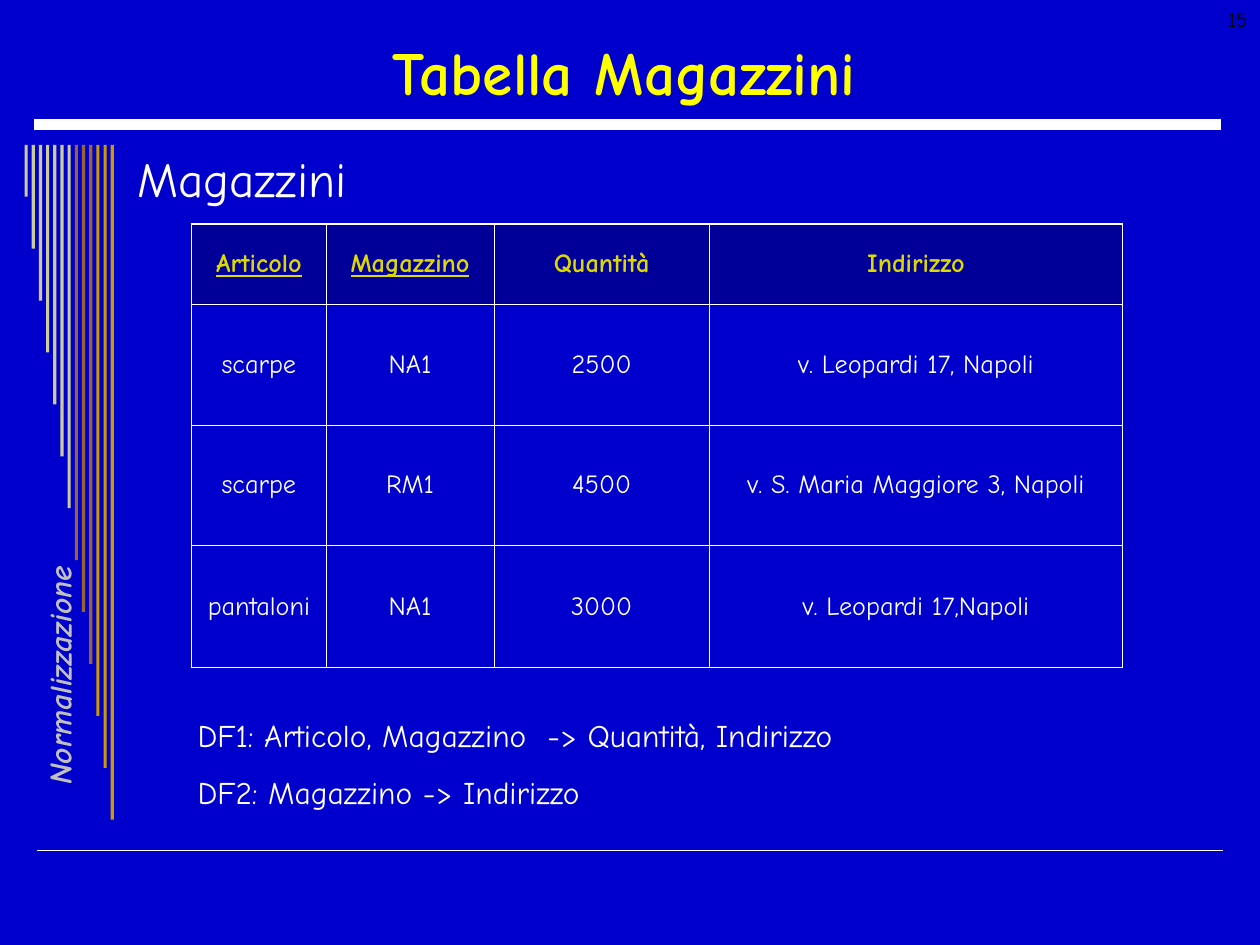
from dataclasses import dataclass

from lxml.etree import SubElement
from pptx import Presentation
from pptx.dml.color import RGBColor
from pptx.enum.shapes import MSO_CONNECTOR, MSO_SHAPE
from pptx.enum.text import MSO_ANCHOR as Anchor, MSO_AUTO_SIZE as AutoSize, PP_ALIGN as Align
from pptx.oxml.ns import qn
from pptx.util import Inches, Pt


@dataclass(frozen=True)
class Theme:
    """Colours, type sizes and line widths of the slide."""

    font: str = "Comic Neue"
    background: str = "0000CC"
    header_fill: str = "000099"
    title: str = "FFFF00"
    header_text: str = "DDD800"
    text: str = "FFFFFF"
    side_text: str = "C0C0C0"
    number: str = "000000"
    bar_colors: tuple = ("CCCC99",) * 7 + ("996633",) * 3 + ("CC9900",) * 3
    title_size: float = 35
    body_size: float = 28
    note_size: float = 18
    cell_size: float = 15
    number_size: float = 12
    outer_border: float = 1.08
    inner_border: float = 0.45


class SlideBuilder:
    """Draws themed elements on a grid of 100 columns by 75 rows."""

    def __init__(self, presentation, theme):
        self.theme = theme
        self.column = presentation.slide_width / 100
        self.row = presentation.slide_height / 75
        self.slide = presentation.slides.add_slide(presentation.slide_layouts[1])
        fill = self.slide.background.fill
        fill.solid()
        fill.fore_color.rgb = RGBColor.from_string(theme.background)

    def box(self, left, top, width, height):
        return (round(left * self.column), round(top * self.row),
                round(width * self.column), round(height * self.row))

    def format(self, paragraph, size, color, align=Align.LEFT, bold=False, italic=False, underline=False):
        paragraph.alignment = align
        for run in paragraph.runs:
            font = run.font
            font.name, font.size = self.theme.font, Pt(size)
            font.bold, font.italic, font.underline = bold, italic, underline
            font.color.rgb = RGBColor.from_string(color)

    def placeholder(self, index, text, place, size, color, indent=0, anchor=Anchor.TOP, **style):
        shape = self.slide.placeholders[index]
        shape.left, shape.top, shape.width, shape.height = self.box(*place)
        frame = shape.text_frame
        frame.text = text
        frame.auto_size, frame.vertical_anchor = AutoSize.NONE, anchor
        paragraph = frame.paragraphs[0]
        properties = paragraph._p.get_or_add_pPr()
        properties.set("marL", str(round(indent * self.column)))
        properties.set("indent", "0")
        SubElement(properties, qn("a:buNone"))
        paragraph.space_before = Pt(0)
        self.format(paragraph, size, color, **style)

    def text(self, text, place, size, color, wrap=True, rotation=0, gap=0, **style):
        shape = self.slide.shapes.add_textbox(*self.box(*place))
        shape.rotation = rotation
        frame = shape.text_frame
        frame.word_wrap = wrap
        frame.text = text
        for paragraph in frame.paragraphs:
            self.format(paragraph, size, color, **style)
        for paragraph in frame.paragraphs[1:]:
            paragraph.space_before = Pt(gap)

    def rule(self, left, right, row, width):
        start_x, y, length, _ = self.box(left, row, right - left, 0)
        line = self.slide.shapes.add_connector(MSO_CONNECTOR.STRAIGHT, start_x, y, start_x + length, y)
        line.line.color.rgb = RGBColor.from_string(self.theme.text)
        line.line.width = Pt(width)
        SubElement(line._element.spPr, qn("a:effectLst"))

    def bars(self, left, top, pitch, width, growth):
        for index, color in enumerate(self.theme.bar_colors):
            place = self.box(left + index * pitch, top, width, (index + 1) * growth)
            bar = self.slide.shapes.add_shape(MSO_SHAPE.RECTANGLE, *place)
            bar.shadow.inherit = False
            bar.fill.solid()
            bar.fill.fore_color.rgb = RGBColor.from_string(color)
            bar.line.fill.background()

    def borders(self, cell, outer_sides):
        properties = cell._tc.get_or_add_tcPr()
        for side in "LRTB":
            width = self.theme.outer_border if side in outer_sides else self.theme.inner_border
            line = SubElement(properties, qn(f"a:ln{side}"), w=str(Pt(width)))
            SubElement(SubElement(line, qn("a:solidFill")), qn("a:srgbClr"), val=self.theme.text)

    def table(self, rows, left, top, widths, heights, key_columns):
        theme = self.theme
        place = self.box(left, top, sum(widths), sum(heights))
        table = self.slide.shapes.add_table(len(rows), len(widths), *place).table
        table.first_row = table.horz_banding = False
        for column, width in zip(table.columns, widths):
            column.width = round(width * self.column)
        for row, height in zip(table.rows, heights):
            row.height = round(height * self.row)
        for r, values in enumerate(rows):
            for c, value in enumerate(values):
                cell, header = table.cell(r, c), r == 0
                edges = {"L": c == 0, "R": c == len(widths) - 1, "T": header, "B": r == len(rows) - 1}
                self.borders(cell, [side for side, outer in edges.items() if outer])
                if header:
                    cell.fill.solid()
                    cell.fill.fore_color.rgb = RGBColor.from_string(theme.header_fill)
                else:
                    cell.fill.background()
                cell.vertical_anchor = Anchor.MIDDLE
                cell.text = value
                self.format(cell.text_frame.paragraphs[0], theme.cell_size,
                            theme.header_text if header else theme.text, Align.CENTER,
                            bold=header, underline=header and c in key_columns)


WAREHOUSES = (
    ("Articolo", "Magazzino", "Quantità", "Indirizzo"),
    ("scarpe", "NA1", "2500", "v. Leopardi 17, Napoli"),
    ("scarpe", "RM1", "4500", "v. S. Maria Maggiore 3, Napoli"),
    ("pantaloni", "NA1", "3000", "v. Leopardi 17,Napoli"),
)
DEPENDENCIES = (
    "DF1: Articolo, Magazzino  -> Quantità, Indirizzo",
    "DF2: Magazzino -> Indirizzo",
)


def main():
    theme = Theme()
    presentation = Presentation()
    presentation.slide_width, presentation.slide_height = Inches(10), Inches(7.5)
    builder = SlideBuilder(presentation, theme)
    builder.rule(2.9, 97.1, 67.5, 1)
    builder.rule(2.7, 96.9, 9.9, 6)
    builder.bars(left=1.95, top=11.5, pitch=0.57, width=0.25, growth=4.12)
    builder.text("Normalizzazione", (-7.5, 52.4, 22.8, 2.4), theme.note_size, theme.side_text,
                 wrap=False, rotation=270, align=Align.CENTER, bold=True, italic=True)
    builder.placeholder(0, "Tabella Magazzini", (3.5, 2.1, 92.1, 7.1), theme.title_size, theme.title,
                        anchor=Anchor.MIDDLE, align=Align.CENTER, bold=True)
    builder.placeholder(1, "Magazzini", (7.4, 11.3, 88.3, 55.3), theme.body_size, theme.text, indent=2.5)
    builder.table(WAREHOUSES, 15.2, 17.8, widths=(10.7, 13.3, 17.1, 32.8),
                  heights=(6.35, 9.6, 9.55, 9.7), key_columns=(0, 1))
    builder.text("\n".join(DEPENDENCIES), (14.7, 56.3, 75, 8.6), theme.note_size, theme.text, gap=11.2)
    builder.text("15", (76.7, 0, 23.3, 5), theme.number_size, theme.number, align=Align.RIGHT)
    presentation.save("out.pptx")


if __name__ == "__main__":
    main()
